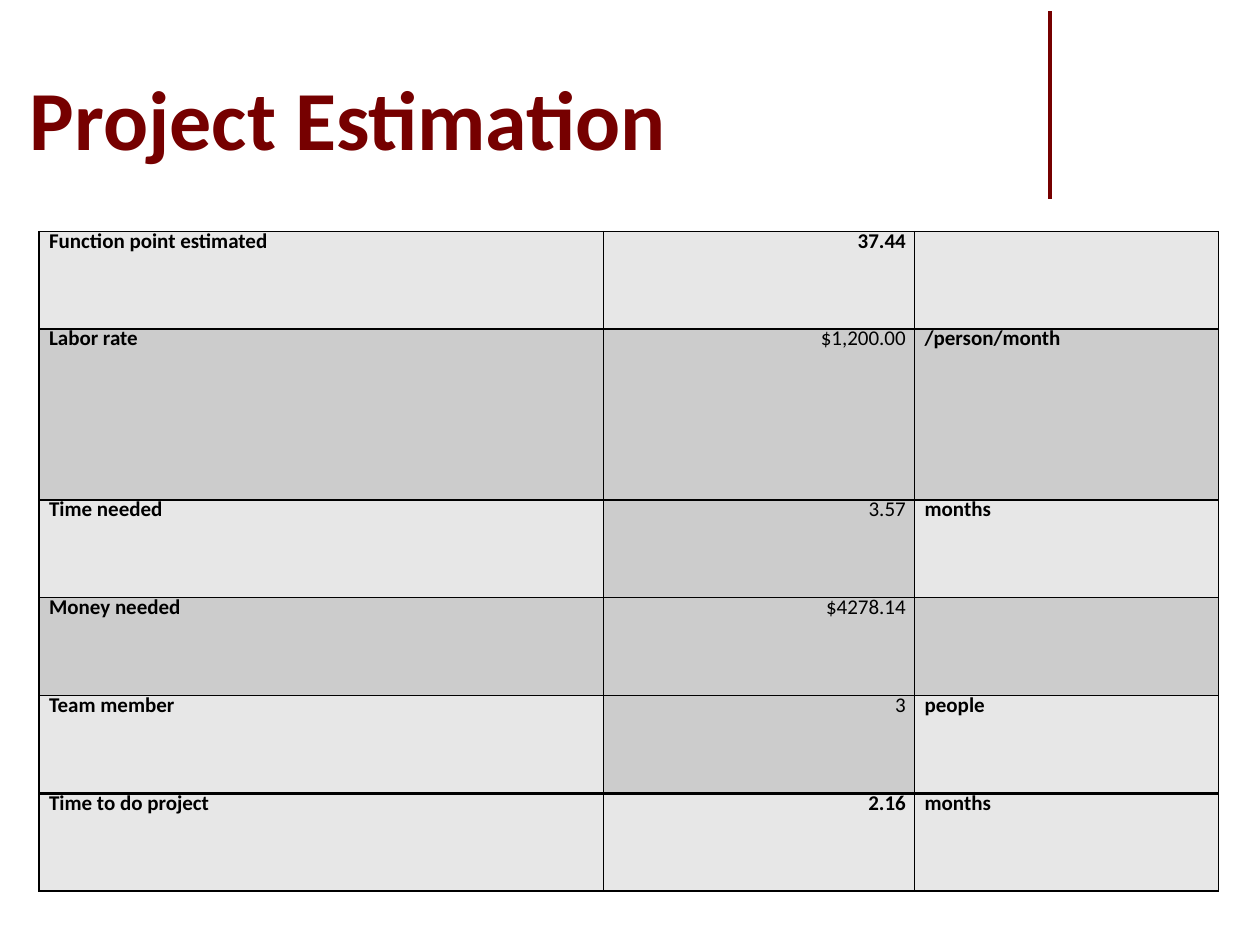
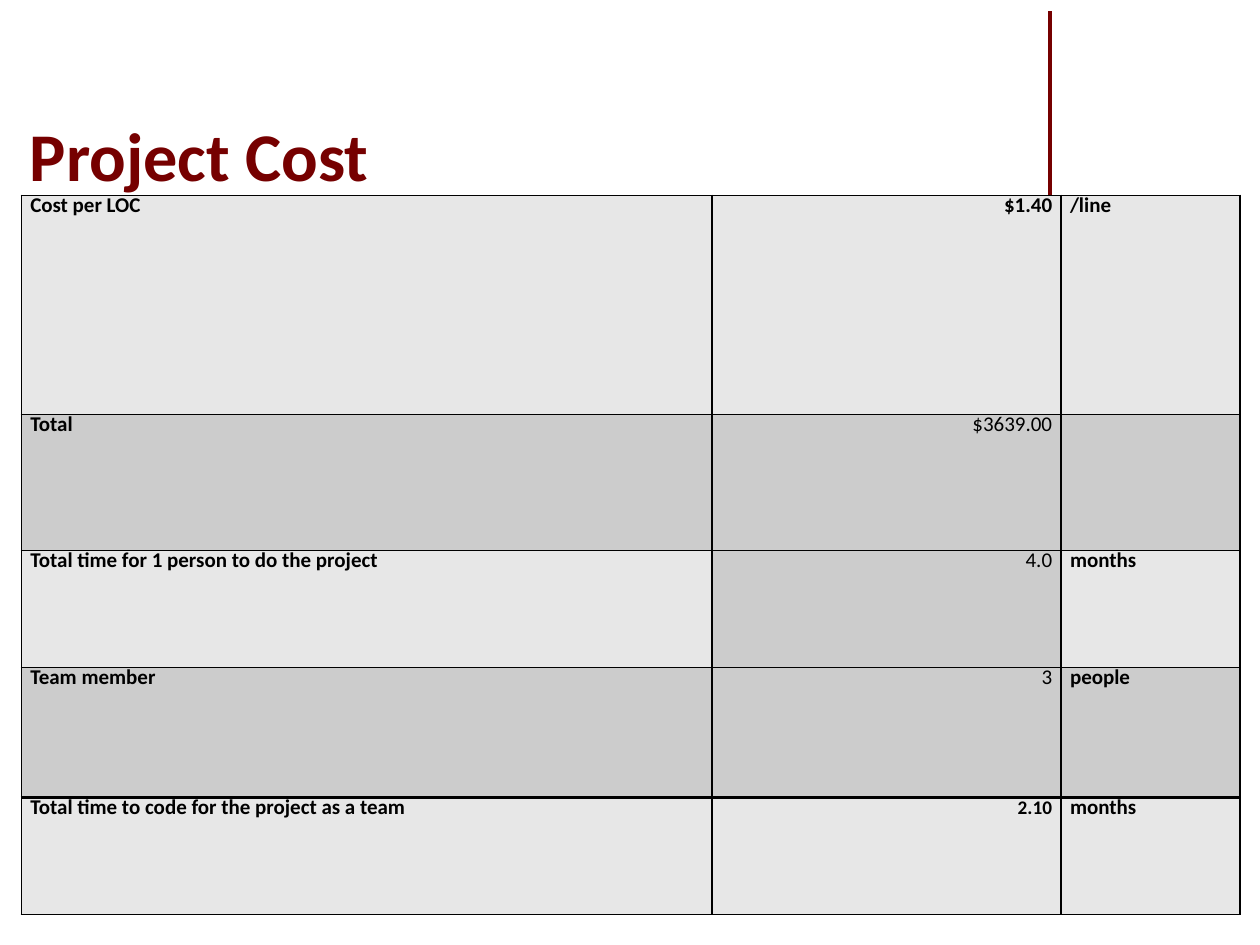
from dataclasses import dataclass

from lxml.etree import SubElement
from pptx import Presentation
from pptx.dml.color import RGBColor as RGB
from pptx.enum.shapes import MSO_CONNECTOR as Connector
from pptx.enum.text import MSO_ANCHOR as Anchor, PP_ALIGN as Align
from pptx.oxml.ns import qn
from pptx.util import Cm, Pt


@dataclass(frozen=True)
class Theme:
    font: str = "Calibri"
    maroon: RGB = RGB(0x76, 0x00, 0x00)
    black: RGB = RGB(0x00, 0x00, 0x00)
    light: RGB = RGB(0xE7, 0xE7, 0xE7)
    dark: RGB = RGB(0xCC, 0xCC, 0xCC)
    cell_size: float = 12
    small_size: float = 11
    cell_leading: float = 12.8
    rule_width: float = 2.25
    border: float = 1
    total_border: float = 2


theme = Theme()


def write(frame, text, size, color, bold):
    """Put one styled run into the first paragraph and return that paragraph."""
    para = frame.paragraphs[0]
    span = para.add_run()
    span.text = text
    style = {"name": theme.font, "size": Pt(size), "bold": bold}
    for name, value in style.items():
        setattr(span.font, name, value)
    span.font.color.rgb = color
    return para


def add_borders(cell, widths):
    """Draw solid borders; widths maps L, R, T and B to points, in that order."""
    properties = cell._tc.get_or_add_tcPr()
    for side, width in widths.items():
        line = SubElement(properties, qn(f"a:ln{side}"), w=str(Pt(width)))
        fill = SubElement(line, qn("a:solidFill"))
        SubElement(fill, qn("a:srgbClr"), val=str(theme.black))


pages = [
    {
        "title": "Project Estimation", "title_size": 48, "title_height": 3.05,
        "left": 0.79, "top": 4.67, "indent": 0.2,
        "columns": [11.38, 6.27, 6.12],
        "heights": [1.96, 3.45, 1.96, 1.98, 1.98, 1.96],
        "total_size": theme.cell_size,
        "rows": [
            ("Function point estimated", "37.44", ""),
            ("Labor rate", "$1,200.00", "/person/month"),
            ("Time needed", "3.57", "months"),
            ("Money needed", "$4278.14", ""),
            ("Team member", "3", "people"),
            ("Time to do project", "2.16", "months"),
        ],
    },
    {
        "title": "Project Cost", "title_size": 39, "title_height": 3.61,
        "left": 0.43, "top": 3.94, "indent": 0.18,
        "columns": [13.92, 7.04, 3.61],
        "heights": [4.42, 2.74, 2.36, 2.62, 2.36],
        "total_size": theme.small_size,
        "rows": [
            ("Cost per LOC", "$1.40", "/line"),
            ("Total", "$3639.00", ""),
            ("Total time for 1 person to do the project", "4.0", "months"),
            ("Team member", "3", "people"),
            ("Total time to code for the project as a team", "2.10", "months"),
        ],
    },
]

deck = Presentation()
deck.slide_width, deck.slide_height = Cm(25.4), Cm(19.05)

for content in pages:
    page = deck.slides.add_slide(deck.slide_layouts[6])

    rule = page.shapes.add_connector(
        Connector.STRAIGHT, Cm(21.16), Cm(0.23), Cm(21.16), Cm(4.01))
    rule.line.color.rgb = theme.maroon
    rule.line.width = Pt(theme.rule_width)
    SubElement(rule._element.spPr, qn("a:effectLst"))

    title_box = page.shapes.add_textbox(
        Cm(0.43), Cm(0.33), Cm(21.79), Cm(content["title_height"]))
    title_format = {"word_wrap": True, "vertical_anchor": Anchor.BOTTOM,
                    "margin_left": Cm(0.17), "margin_right": Cm(0.17),
                    "margin_top": 0, "margin_bottom": 0}
    for name, value in title_format.items():
        setattr(title_box.text_frame, name, value)
    write(title_box.text_frame, content["title"], content["title_size"],
          theme.maroon, True)

    rows, columns, heights = content["rows"], content["columns"], content["heights"]
    table = page.shapes.add_table(
        len(rows), len(columns), Cm(content["left"]), Cm(content["top"]),
        Cm(sum(columns)), Cm(sum(heights))).table
    table.first_row = table.horz_banding = False
    for column, width in zip(table.columns, columns):
        column.width = Cm(width)
    for row, height in zip(table.rows, heights):
        row.height = Cm(height)

    last = len(rows) - 1
    cell_format = {"margin_left": Cm(content["indent"]), "margin_right": Cm(0.18),
                   "margin_top": 0, "margin_bottom": 0}
    for row_index, texts in enumerate(rows):
        is_total = row_index == last
        for column_index, text in enumerate(texts):
            cell = table.cell(row_index, column_index)
            for name, value in cell_format.items():
                setattr(cell, name, value)
            add_borders(cell, {
                "L": theme.border, "R": theme.border,
                "T": theme.total_border if is_total else theme.border,
                "B": theme.total_border if row_index == last - 1 else theme.border})

            # Values between the first and the total row are regular on dark.
            is_value = column_index == 1
            is_plain = is_value and 0 < row_index < last
            is_dark = is_plain or (row_index % 2 == 1 and not is_total)
            cell.fill.solid()
            cell.fill.fore_color.rgb = theme.dark if is_dark else theme.light

            if text:
                size = content["total_size"] if is_total and is_value else theme.cell_size
                para = write(cell.text_frame, text, size, theme.black, not is_plain)
                para.line_spacing = Pt(theme.cell_leading)
                para.alignment = Align.RIGHT if is_value else Align.LEFT

deck.save("out.pptx")
